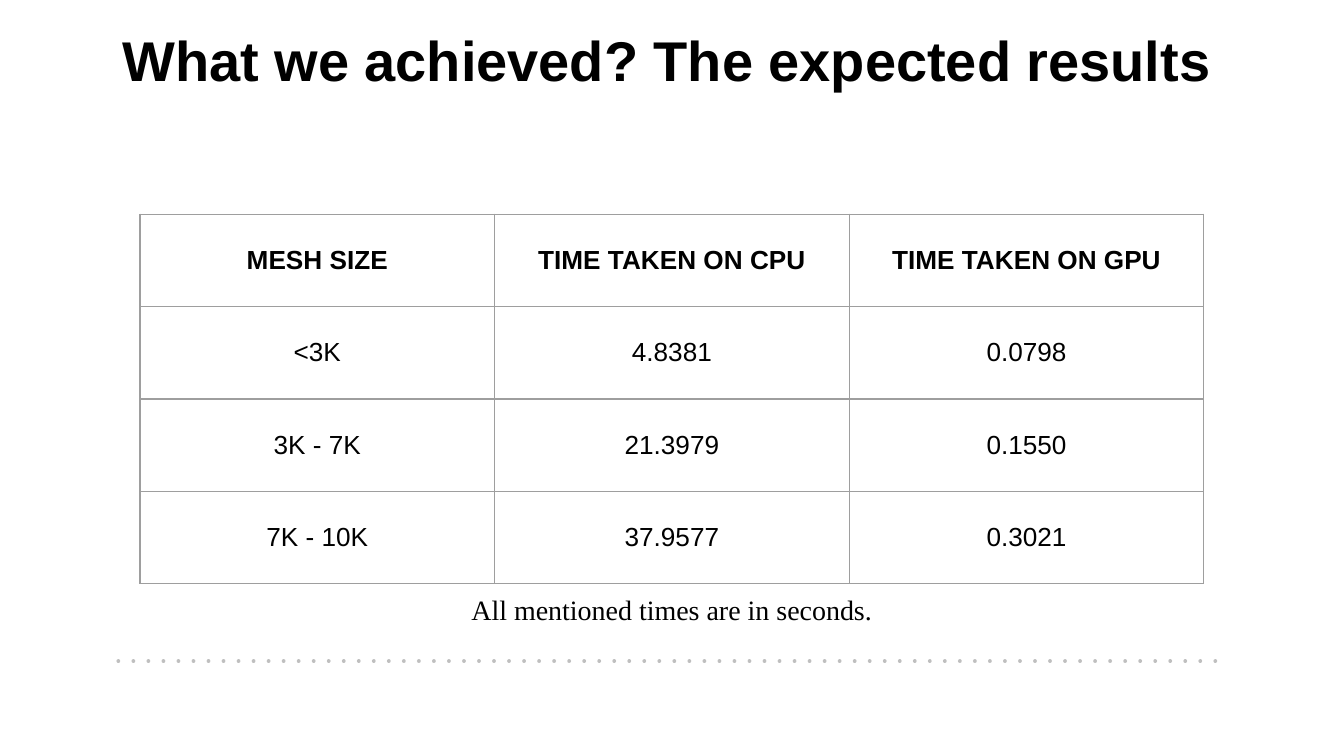
"""Build a slide comparing CPU and GPU times by mesh size."""
from dataclasses import dataclass

from lxml import etree
from pptx import Presentation
from pptx import util as u
from pptx.dml.color import RGBColor
from pptx.enum import shapes, text
from pptx.oxml.ns import qn
from pptx.slide import Slide
from pptx.table import _Cell
from pptx.text.text import TextFrame


@dataclass(frozen=True)
class Theme:
    ink: str = "000000"
    grid: str = "9E9E9E"
    dots: str = "BFBFBF"
    sans: str = "Arial"
    serif: str = "Times New Roman"
    title: float = 30
    table: float = 14
    note: float = 15
    inset: float = 7.2
    border: float = 0.75
    rule: float = 2


@dataclass(frozen=True)
class Box:
    left: float
    top: float
    width: float
    height: float

    def lengths(self) -> list[u.Length]:
        return [u.Pt(v) for v in (self.left, self.top, self.width, self.height)]


@dataclass(frozen=True)
class Style:
    size: float
    font: str
    bold: bool = False
    align: text.PP_ALIGN = text.PP_ALIGN.CENTER
    spacing: float = 1.0
    before: float = 0


@dataclass(frozen=True)
class Caption:
    words: str
    box: Box
    style: Style
    inset: float


THEME = Theme()
CAPTIONS = (
    Caption(
        "What we achieved? The expected results",
        Box(65.5, 20.9, 589, 62.6),
        Style(THEME.title, THEME.sans, True, text.PP_ALIGN.LEFT, 0.8),
        0,
    ),
    Caption(
        "All mentioned times are in seconds.",
        Box(232.5, 312.5, 255, 38),
        Style(THEME.note, THEME.serif, spacing=0.9, before=8),
        THEME.inset,
    ),
)
TIMINGS = (
    ("MESH SIZE", "TIME TAKEN ON CPU", "TIME TAKEN ON GPU"),
    ("<3K", "4.8381", "0.0798"),
    ("3K - 7K", "21.3979", "0.1550"),
    ("7K - 10K", "37.9577", "0.3021"),
)
TIMINGS_BOX = Box(75, 114.75, 570, 198)


def write(frame: TextFrame, words: str, style: Style) -> None:
    frame.text = words
    paragraph = frame.paragraphs[0]
    paragraph.alignment = style.align
    paragraph.line_spacing = style.spacing
    paragraph.space_before = u.Pt(style.before)
    font = paragraph.runs[0].font
    font.size, font.name, font.bold = u.Pt(style.size), style.font, style.bold
    font.color.rgb = RGBColor.from_string(THEME.ink)


def set_insets(target: TextFrame | _Cell, inset: float) -> None:
    target.margin_left = target.margin_right = u.Pt(inset)
    target.margin_top = target.margin_bottom = u.Pt(inset)


def add_caption(slide: Slide, caption: Caption) -> None:
    frame = slide.shapes.add_textbox(*caption.box.lengths()).text_frame
    frame.word_wrap = True
    set_insets(frame, caption.inset)
    write(frame, caption.words, caption.style)


def add_dotted_rule(slide: Slide, left: float, right: float, y: float) -> None:
    rule = slide.shapes.add_connector(
        shapes.MSO_CONNECTOR.STRAIGHT, u.Pt(left), u.Pt(y), u.Pt(right), u.Pt(y)
    )
    rule.line.width = u.Pt(THEME.rule)
    rule.line.color.rgb = RGBColor.from_string(THEME.dots)
    properties = rule.element.spPr
    stroke = properties.find(qn("a:ln"))
    stroke.set("cap", "rnd")
    etree.SubElement(stroke, qn("a:prstDash"), val="dot")
    etree.SubElement(properties, qn("a:effectLst"))


def add_borders(cell: _Cell) -> None:
    properties = cell._tc.get_or_add_tcPr()
    for side in ("lnL", "lnR", "lnT", "lnB"):
        border = etree.SubElement(
            properties, qn(f"a:{side}"), w=str(u.Pt(THEME.border))
        )
        fill = etree.SubElement(border, qn("a:solidFill"))
        etree.SubElement(fill, qn("a:srgbClr"), val=THEME.grid)


def add_timings(slide: Slide, rows: tuple[tuple[str, ...], ...], box: Box) -> None:
    table = slide.shapes.add_table(len(rows), len(rows[0]), *box.lengths()).table
    table.first_row = table.horz_banding = False
    for column in table.columns:
        column.width = u.Pt(box.width / len(rows[0]))
    for index, values in enumerate(rows):
        table.rows[index].height = u.Pt(box.height / len(rows))
        style = Style(THEME.table, THEME.sans, bold=index == 0)
        for cell, value in zip(table.rows[index].cells, values):
            write(cell.text_frame, value, style)
            set_insets(cell, THEME.inset)
            cell.vertical_anchor = text.MSO_ANCHOR.MIDDLE
            add_borders(cell)
            cell.fill.background()


def main() -> None:
    deck = Presentation()
    deck.slide_width, deck.slide_height = u.Pt(720), u.Pt(405)
    slide = deck.slides.add_slide(deck.slide_layouts[6])
    title, note = CAPTIONS
    add_dotted_rule(slide, 63.4, 656.6, 354.2)
    add_caption(slide, title)
    add_timings(slide, TIMINGS, TIMINGS_BOX)
    add_caption(slide, note)
    deck.save("out.pptx")


if __name__ == "__main__":
    main()
